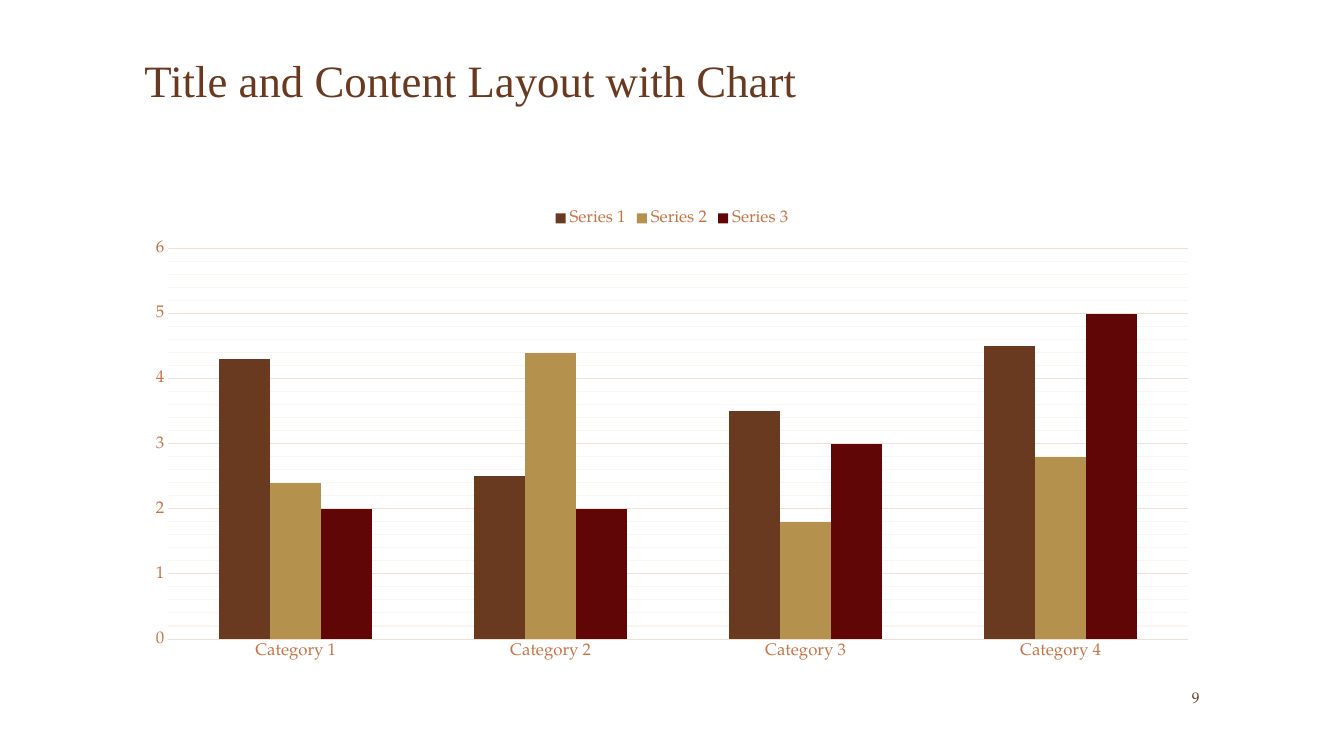
import copy
import pptx
import pptx.util
import pptx.chart.data
from dataclasses import dataclass
from pptx.dml.color import RGBColor
from pptx.enum.chart import XL_CHART_TYPE, XL_LEGEND_POSITION, XL_TICK_MARK
from pptx.enum.text import MSO_ANCHOR, PP_ALIGN
from pptx.oxml.ns import qn

TITLE = "Title and Content Layout with Chart"
NUMBER = "9"
CATS = ["Category 1", "Category 2", "Category 3", "Category 4"]
SERIES = [
    ("Series 1", (4.3, 2.5, 3.5, 4.5), "6A3A20"),
    ("Series 2", (2.4, 4.4, 1.8, 2.8), "B4914C"),
    ("Series 3", (2, 2, 3, 5), "610606"),
]


@dataclass(frozen=True)
class Theme:
    head: str = "Times New Roman"
    body: str = "TeX Gyre Pagella"
    dark: str = "6A3A20"
    label: str = "C77345"
    grid: str = "F2DFD4"
    minor: str = "FBF5F2"
    title: int = 32
    axis: int = 12
    small: int = 11
    line: float = 0.75


THEME = Theme()
WIDE, HIGH = 13.33, 7.5
LEFT = WIDE / 10
SPAN = WIDE - 2 * LEFT
BOXES = {
    "title": (LEFT, 0.47, SPAN, 1.28),
    "chart": (LEFT, 1.97, SPAN, 4.67),
    "number": (LEFT + SPAN - 0.78, 6.75, 0.78, 0.33),
}


def box(name):
    return [pptx.util.Inches(part) for part in BOXES[name]]


def style(font, face, size, color):
    font.name = face
    font.size = pptx.util.Pt(size)
    font.color.rgb = RGBColor.from_string(color)


def rule(line, color):
    line.color.rgb = RGBColor.from_string(color)
    line.width = pptx.util.Pt(THEME.line)


def write(shape, text, anchor, align, *look):
    frame = shape.text_frame
    frame.text = text
    frame.word_wrap = True
    frame.vertical_anchor = anchor
    line = frame.paragraphs[0]
    line.alignment = align
    style(line.font, *look)


def add_title(slide):
    shape = slide.shapes.title
    shape.left, shape.top, shape.width, shape.height = box("title")
    write(shape, TITLE, MSO_ANCHOR.TOP, PP_ALIGN.LEFT,
          THEME.head, THEME.title, THEME.dark)


def add_grid(axis):
    axis.has_major_gridlines = axis.has_minor_gridlines = True
    line = axis.major_gridlines.format.line
    rule(line, THEME.minor)
    root = axis._element
    look = root.find(qn("c:majorGridlines")).find(qn("c:spPr"))
    root.find(qn("c:minorGridlines")).append(copy.deepcopy(look))
    rule(line, THEME.grid)


def add_bars(slide):
    data = pptx.chart.data.CategoryChartData()
    data.categories = CATS
    for name, vals, color in SERIES:
        data.add_series(name, vals)
    chart = slide.shapes.add_chart(
        XL_CHART_TYPE.COLUMN_CLUSTERED, *box("chart"), data).chart
    label = (THEME.body, THEME.axis, THEME.label)
    style(chart.font, *label)
    chart.has_title = False
    chart.has_legend = True
    chart.legend.position = XL_LEGEND_POSITION.TOP
    chart.legend.include_in_layout = False
    style(chart.legend.font, *label)

    plot = chart.plots[0]
    plot.vary_by_categories = False
    plot.gap_width = 199
    plot.overlap = 0
    for bars, (name, vals, color) in zip(plot.series, SERIES):
        bars.format.fill.solid()
        bars.format.fill.fore_color.rgb = RGBColor.from_string(color)

    cat, val = chart.category_axis, chart.value_axis
    for axis in (cat, val):
        axis.major_tick_mark = XL_TICK_MARK.NONE
        axis.minor_tick_mark = XL_TICK_MARK.NONE
        style(axis.tick_labels.font, *label)
    rule(cat.format.line, THEME.grid)
    val.format.line.fill.background()
    val.minimum_scale, val.maximum_scale = 0, 6
    val.major_unit, val.minor_unit = 1, 0.2
    add_grid(val)


def add_number(slide):
    write(slide.shapes.add_textbox(*box("number")), NUMBER,
          MSO_ANCHOR.MIDDLE, PP_ALIGN.RIGHT,
          THEME.body, THEME.small, THEME.dark)


def main():
    deck = pptx.Presentation()
    deck.slide_width = pptx.util.Inches(WIDE)
    deck.slide_height = pptx.util.Inches(HIGH)
    slide = deck.slides.add_slide(deck.slide_layouts[5])
    add_title(slide)
    add_bars(slide)
    add_number(slide)
    deck.save("out.pptx")


if __name__ == "__main__":
    main()
